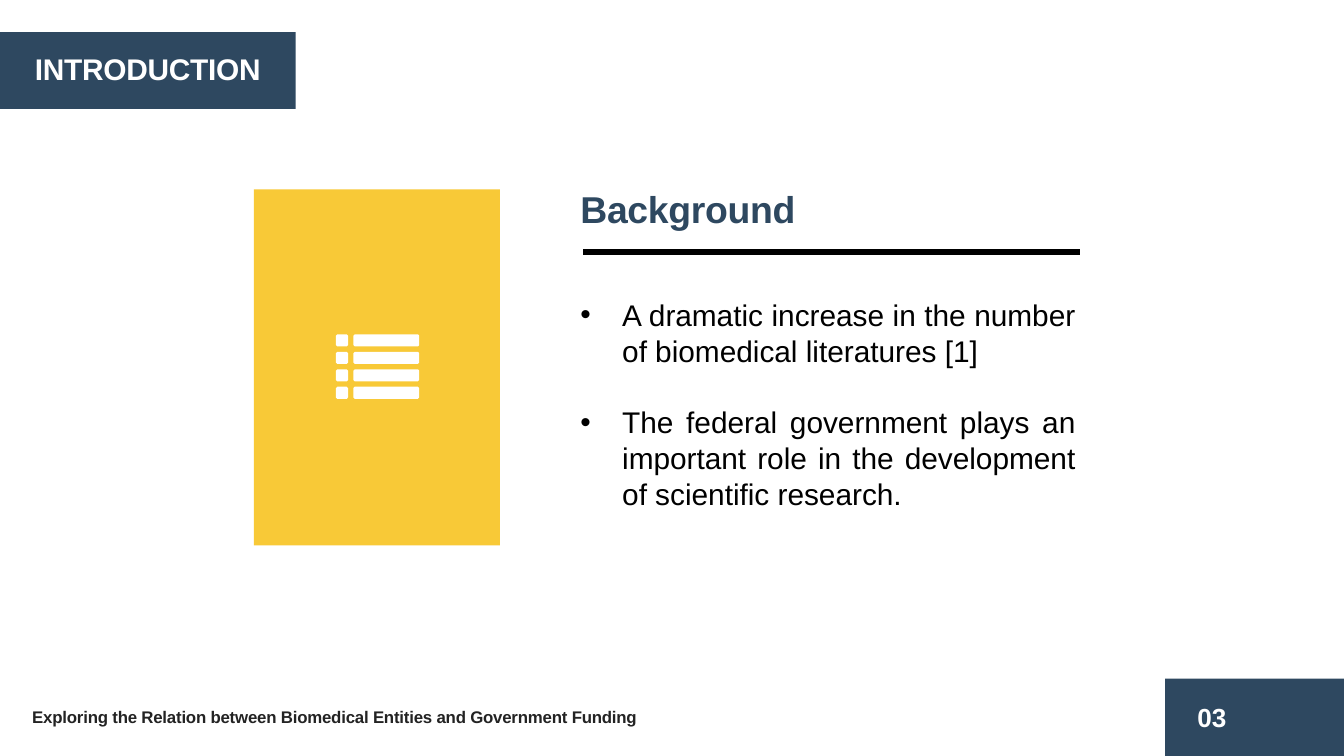
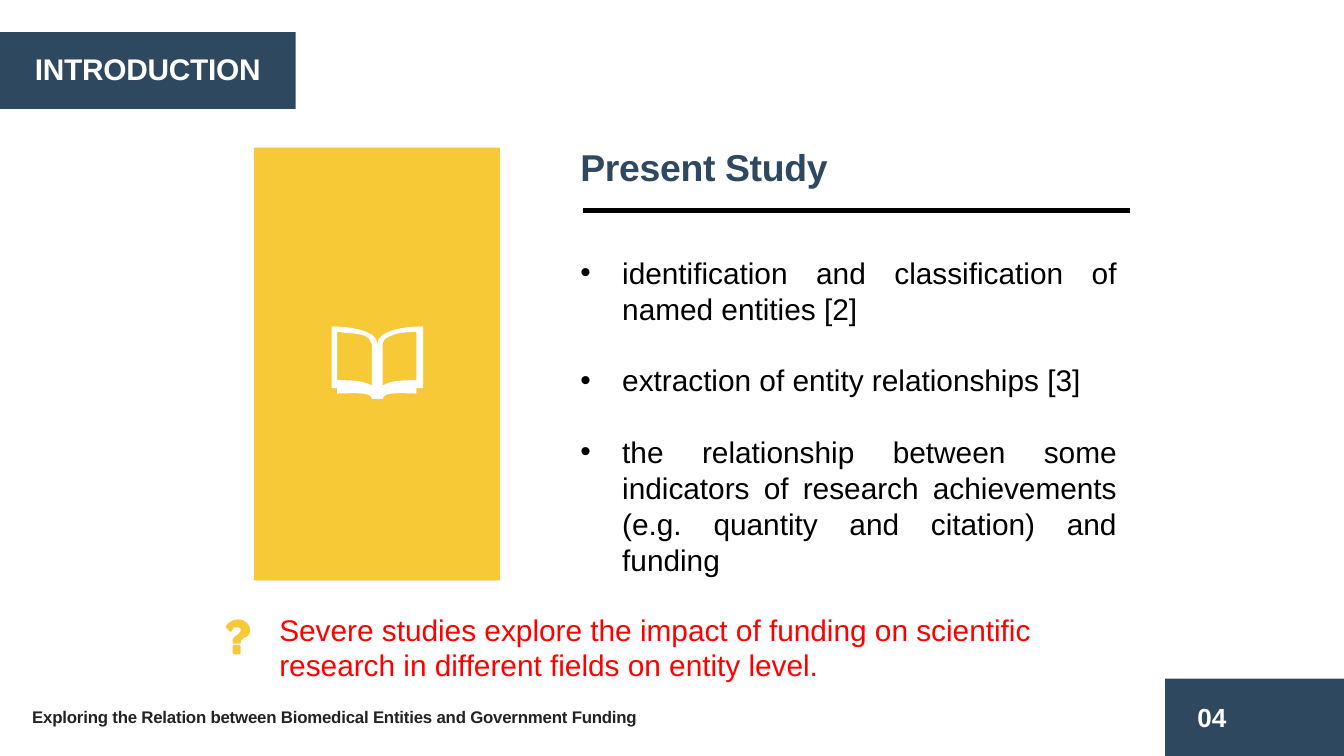
from dataclasses import dataclass

from lxml import etree
from pptx import Presentation
from pptx import util as u
from pptx.dml.color import RGBColor
from pptx.enum import shapes, text
from pptx.oxml.ns import qn


@dataclass(frozen=True)
class Theme:
    font: str = "Arial"
    navy: str = "2E4860"
    yellow: str = "F8C937"
    white: str = "FFFFFF"
    black: str = "000000"
    red: str = "FF0000"
    grey: str = "232323"
    heading: int = 20
    body: int = 16
    number: int = 14
    footer: int = 9
    leading: float = 1.2
    rule: int = 3
    indent: float = 0.79


def cut_rect(left, top, width, height, cut=1):
    right, bottom = left + width, top + height
    return [(left + cut, top), (right - cut, top), (right, top + cut),
            (right, bottom - cut), (right - cut, bottom), (left + cut, bottom),
            (left, bottom - cut), (left, top + cut)]


def flatten(outline, steps=8):
    points = []
    for part in outline:
        if len(part) == 2:
            points.append(part)
            continue
        (x0, y0), (x1, y1, x2, y2, x3, y3) = points[-1], part
        for step in range(1, steps + 1):
            t = step / steps
            a, b, c, d = (1 - t) ** 3, 3 * t * (1 - t) ** 2, 3 * t * t * (1 - t), t ** 3
            points.append((a * x0 + b * x1 + c * x2 + d * x3,
                           a * y0 + b * y1 + c * y2 + d * y3))
    return [(round(10 * x), round(10 * y)) for x, y in points]


LIST_ICON = [cut_rect(left, 13 * row, width, 9)
             for left, width in ((0, 9), (13, 49)) for row in range(4)]
BOOK_ICON = [
    [(34, 13), (34, 2, 10, 0, 0, 0), (0, 46), (4, 46), (4, 50),
     (12, 50, 30, 48, 30, 54), (38, 54), (38, 48, 55, 50, 63, 50),
     (63, 46), (68, 46), (68, 0), (57, 0, 34, 2, 34, 13)],
    [(30, 44), (23, 40, 12, 40, 4, 40), (4, 4), (11, 5),
     (20, 5, 29, 7, 29, 12), (30, 13)],
    [(63, 40), (55, 40, 44, 40, 38, 44), (38, 13), (38, 10, 43, 4, 63, 4)],
]
QUESTION_ICON = [
    [(13, 14), (12, 15, 11, 16, 11, 17), (11, 18, 11, 18, 10, 18), (6, 18),
     (5, 18, 5, 17, 5, 17), (5, 16), (5, 13, 8, 12, 9, 11),
     (10, 10, 11, 9, 11, 8), (11, 6, 10, 6, 8, 6), (6, 6),
     (6, 6, 5, 7, 4, 9), (3, 9), (0, 6), (0, 5), (2, 2, 5, 0, 9, 0),
     (13, 0, 18, 3, 18, 8), (18, 12, 15, 13, 13, 14)],
    cut_rect(5, 19, 6, 7),
]


class Deck:
    def __init__(self, theme):
        self.theme = theme
        self.file = Presentation()
        self.file.slide_width, self.file.slide_height = u.Cm(25.4), u.Cm(14.29)
        self.slide = None

    def paint(self, shape, color):
        shape.shadow.inherit = False
        shape.fill.solid()
        shape.fill.fore_color.rgb = RGBColor.from_string(color)
        shape.line.fill.background()

    def block(self, box, color):
        panel = self.slide.shapes.add_shape(shapes.MSO_SHAPE.RECTANGLE, *map(u.Cm, box))
        self.paint(panel, color)

    def icon(self, left, top, outlines, color):
        first, *others = map(flatten, outlines)
        pen = self.slide.shapes.build_freeform(*first[0], scale=u.Cm(0.00254))
        pen.add_line_segments(first[1:], close=True)
        for outline in others:
            pen.move_to(*outline[0])
            pen.add_line_segments(outline[1:], close=True)
        self.paint(pen.convert_to_shape(u.Cm(left), u.Cm(top)), color)

    def rule(self, left, right, y):
        line = self.slide.shapes.add_connector(
            shapes.MSO_CONNECTOR.STRAIGHT, *map(u.Cm, (left, y, right, y)))
        line.line.color.rgb = RGBColor.from_string(self.theme.black)
        line.line.width = u.Pt(self.theme.rule)
        etree.SubElement(line._element.spPr, qn("a:effectLst"))

    def label(self, box, lines, size, color, bold=False, align=None, tracking=0, bullets=False):
        frame = self.slide.shapes.add_textbox(*map(u.Cm, box)).text_frame
        frame.word_wrap = True
        frame.auto_size = text.MSO_AUTO_SIZE.SHAPE_TO_FIT_TEXT
        frame.text = "\n".join(lines)
        leading = u.Pt(size * self.theme.leading)
        for index, paragraph in enumerate(frame.paragraphs):
            paragraph.alignment = align
            paragraph.line_spacing = leading
            if index:
                paragraph.space_before = leading
            font = paragraph.font
            font.name, font.size, font.bold = self.theme.font, u.Pt(size), bold
            font.color.rgb = RGBColor.from_string(color)
            defaults = paragraph._p.pPr.find(qn("a:defRPr"))
            if tracking:
                defaults.set("spc", str(tracking))
            if bullets:
                self.bullet(paragraph._p.pPr, defaults)

    def bullet(self, properties, defaults):
        indent = u.Cm(self.theme.indent)
        properties.set("marL", str(indent))
        properties.set("indent", str(-indent))
        for tag, key, value in (("a:buFont", "typeface", self.theme.font),
                                ("a:buChar", "char", "\u2022")):
            mark = etree.Element(qn(tag))
            mark.set(key, value)
            defaults.addprevious(mark)

    def start(self, number):
        look = self.theme
        self.slide = self.file.slides.add_slide(self.file.slide_layouts[6])
        self.block((22.02, 12.83, 3.38, 1.5), look.navy)
        self.label((22.38, 13.13, 1.27, 0.86), [number], look.number, look.white, bold=True)
        self.block((0, 0.61, 5.59, 1.45), look.navy)
        self.label((0.38, 0.84, 4.83, 0.94), ["INTRODUCTION"], look.body, look.white,
                   bold=True, align=text.PP_ALIGN.CENTER, tracking=-10)
        self.label((0.36, 13.23, 12.42, 0.64),
                   ["Exploring the Relation between Biomedical Entities and Government Funding"],
                   look.footer, look.grey, bold=True, tracking=-10)

    def topic(self, heading, points, top, card_height, rule_end, body_size):
        look = self.theme
        self.block((4.8, top, 4.65, card_height), look.yellow)
        self.label((10.72, top - 0.18, 5.38, 1.12), [heading], look.heading, look.navy,
                   bold=True, tracking=-20)
        self.rule(11.02, rule_end, top + 1.19)
        self.label((10.72, top + 1.9, *body_size), points, look.body, look.black,
                   align=text.PP_ALIGN.JUSTIFY, bullets=True)


theme = Theme()
deck = Deck(theme)

deck.start("03")
deck.topic("Background", [
    "A dramatic increase in the number of biomedical literatures [1]",
    "The federal government plays an important role in the development of scientific research.",
], top=3.58, card_height=6.73, rule_end=20.42, body_size=(9.86, 5.05))
deck.icon(6.35, 6.32, LIST_ICON, theme.white)

deck.start("04")
deck.topic("Present Study", [
    "identification and classification of named entities [2]",
    "extraction of entity relationships [3]",
    "the relationship between some indicators of research achievements "
    "(e.g. quantity and citation) and funding",
], top=2.79, card_height=8.18, rule_end=21.36, body_size=(10.64, 6.4))
deck.icon(6.27, 6.17, BOOK_ICON, theme.white)
deck.icon(4.27, 11.71, QUESTION_ICON, theme.yellow)
deck.label((5.03, 11.43, 16.99, 1.63),
           ["Severe studies explore the impact of funding on scientific research "
            "in different fields on entity level."], theme.body, theme.red)

deck.file.save("out.pptx")
